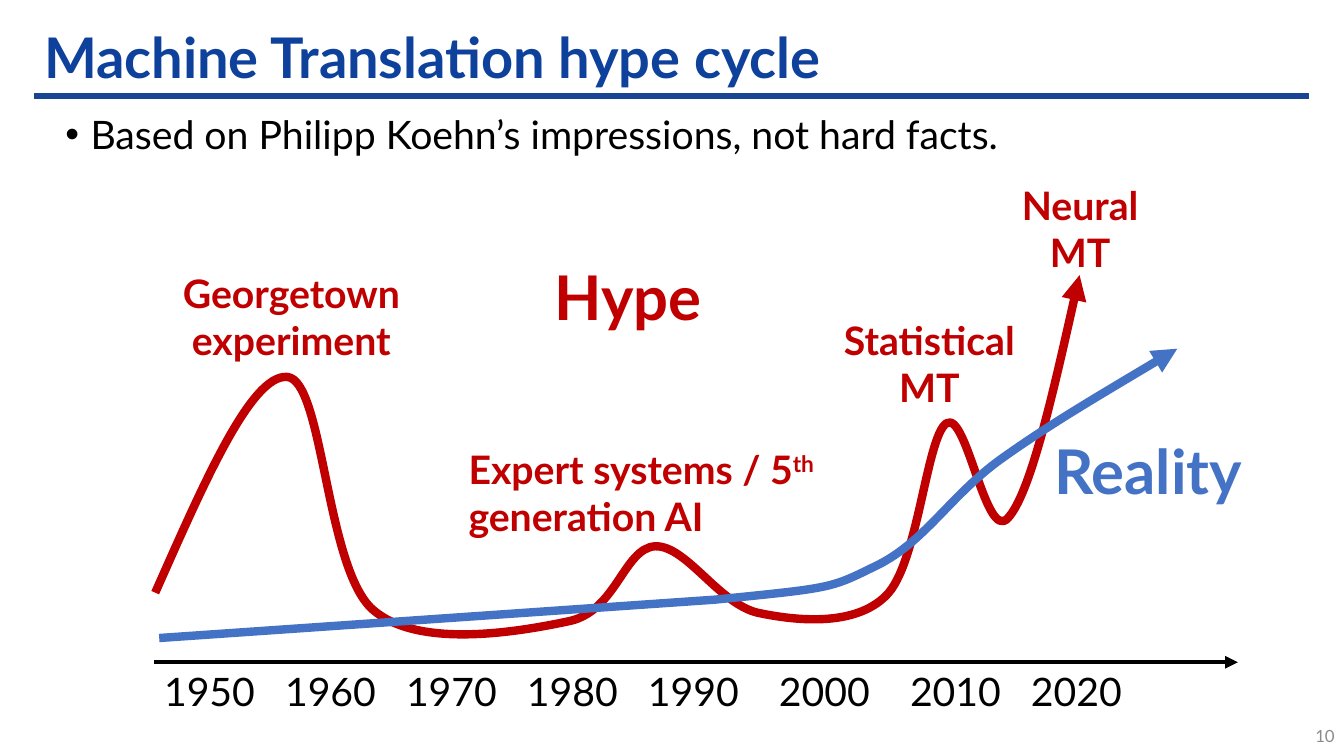
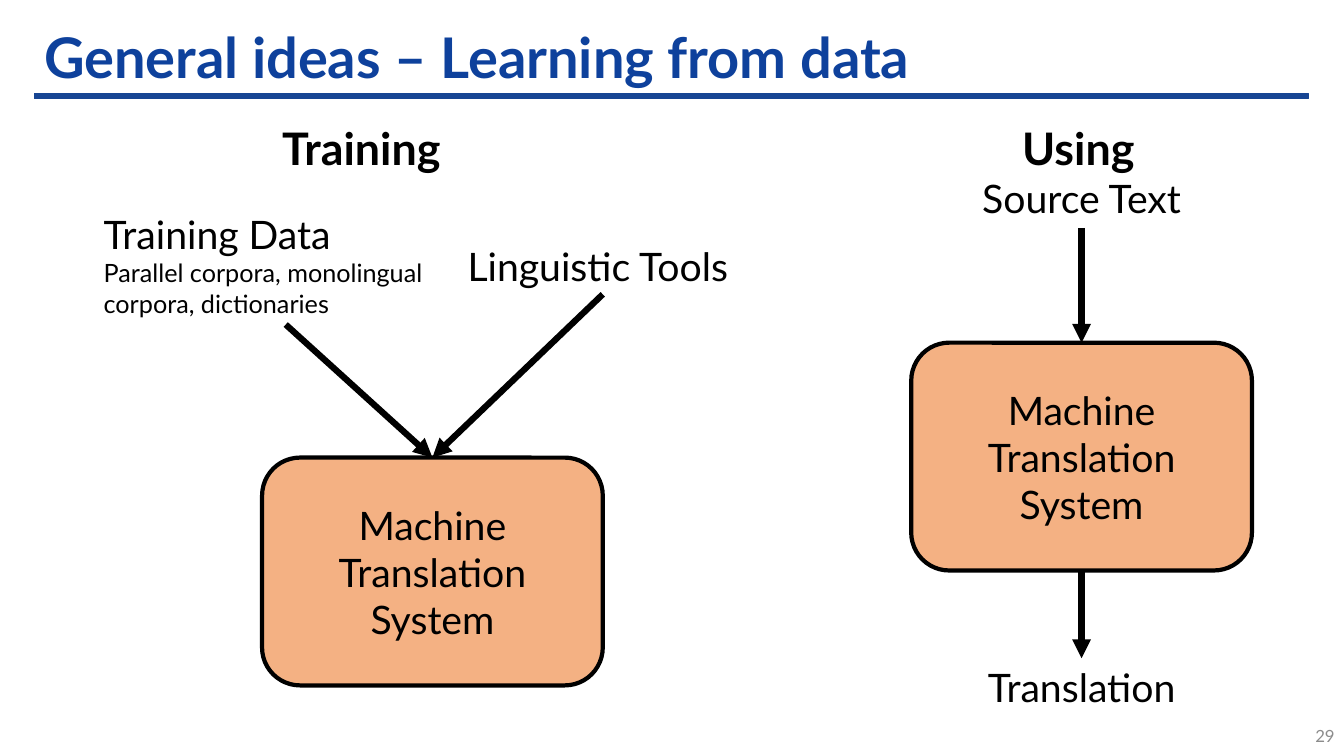
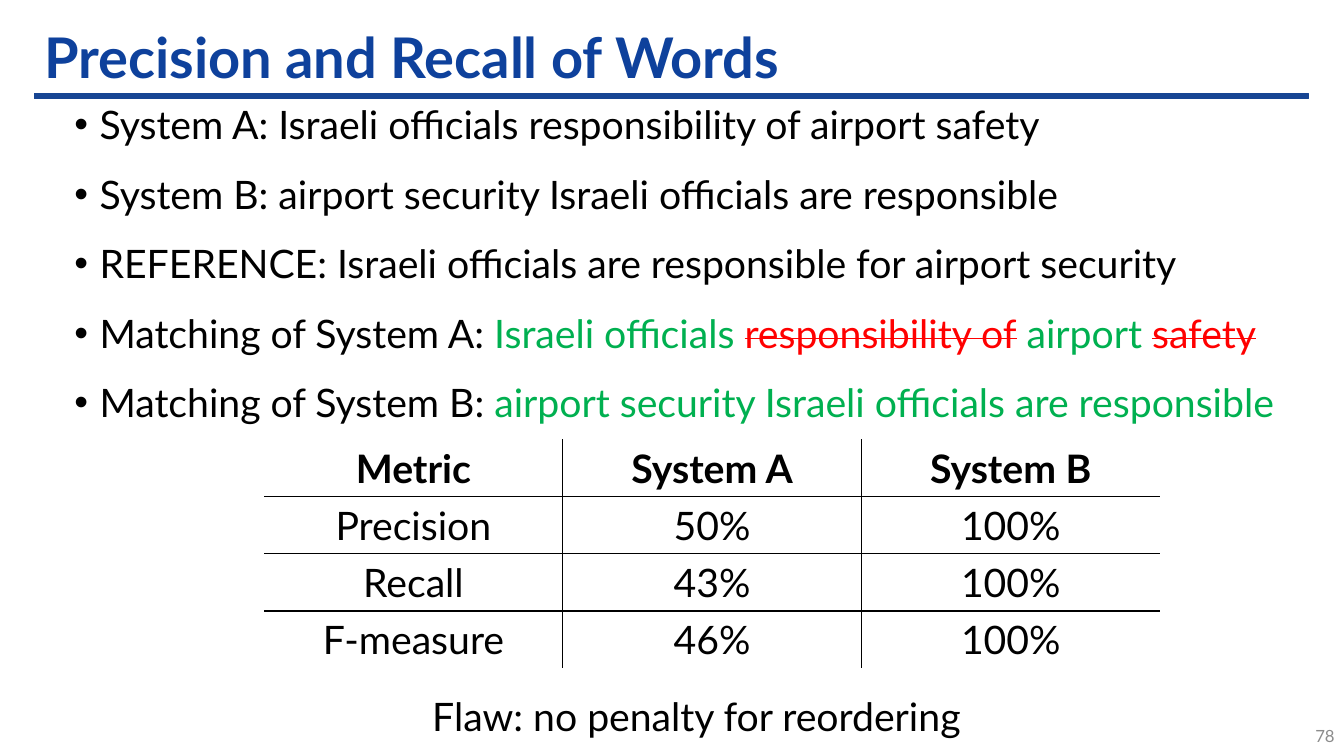
"""Build three machine translation lecture slides."""
from dataclasses import dataclass

from lxml.etree import SubElement
from pptx import Presentation
from pptx.dml.color import RGBColor
from pptx.enum.shapes import MSO_CONNECTOR as CONN, MSO_SHAPE as SHAPE
from pptx.enum.text import MSO_ANCHOR as ANCHOR, PP_ALIGN as ALIGN
from pptx.oxml.ns import qn
from pptx.util import Pt

PX = 9144


@dataclass(frozen=True)
class Theme:
    """Colours, fonts and type sizes shared by all slides."""
    font: str = "Lato"
    bullet_font: str = "Arial"
    title: str = "0E419C"
    rule: str = "174593"
    page: str = "8C8C8C"
    ink: str = "000000"
    hype: str = "C00000"
    reality: str = "4472C4"
    box: str = "F4B183"
    match: str = "00B050"
    miss: str = "FF0000"
    big: int = 44
    heading: int = 40
    subhead: int = 32
    body: int = 28
    detail: int = 18
    small: int = 12


T = Theme()


def px(*lengths):
    """Turn lengths in px into EMU."""
    return [round(n * PX) for n in lengths]


def style(size=T.body, color=T.ink, bold=False, **marks):
    """Describe a run: font values, colour and extra run marks."""
    return {"font": {"name": T.font, "size": Pt(size), "bold": bold},
            "color": color, "marks": marks}


def write(p, runs, bullet=False, tabs=(), **fmt):
    """Write styled runs into a paragraph."""
    pPr = p._p.get_or_add_pPr()
    if bullet:
        pPr.set("marL", str(25 * PX))
        pPr.set("indent", str(-25 * PX))
        SubElement(pPr, qn("a:buFont"), typeface=T.bullet_font)
        SubElement(pPr, qn("a:buChar"), char="•")
    if tabs:
        stops = SubElement(pPr, qn("a:tabLst"))
        for stop in tabs:
            SubElement(stops, qn("a:tab"), pos=str(stop * PX), algn="l")
    for key, value in fmt.items():
        setattr(p, key, value)
    for text, look in runs:
        r = p.add_run()
        r.text = text
        for key, value in look["font"].items():
            setattr(r.font, key, value)
        r.font.color.rgb = RGBColor.from_string(look["color"])
        for key, value in look["marks"].items():
            r._r.get_or_add_rPr().set(key, value)


def fill_text(sp, paragraphs, anchor=ANCHOR.TOP, gap=0, **fmt):
    """Fill a shape with paragraphs, each a list of runs."""
    tf = sp.text_frame
    tf.word_wrap = True
    tf.vertical_anchor = anchor
    for i, runs in enumerate(paragraphs):
        p = tf.add_paragraph() if i else tf.paragraphs[0]
        write(p, runs, space_before=Pt(gap if i else 0), **fmt)


def add_text(s, at, *paragraphs, **fmt):
    """Add a text box."""
    sp = s.shapes.add_textbox(*px(*at))
    fill_text(sp, paragraphs, **fmt)
    return sp


def add_box(s, kind, at, fill, line, width):
    """Add a filled, outlined preset shape."""
    sp = s.shapes.add_shape(kind, *px(*at))
    sp.shadow.inherit = False
    sp.fill.solid()
    sp.fill.fore_color.rgb = RGBColor.from_string(fill)
    set_line(sp.line, line, width)
    return sp


def set_line(line, color, width, arrow=False):
    """Set line colour and width, with an optional arrowhead."""
    line.color.rgb = RGBColor.from_string(color)
    line.width = Pt(width)
    if arrow:
        SubElement(line._get_or_add_ln(), qn("a:tailEnd"), type="triangle")


def add_arrow(s, x1, y1, x2, y2, width):
    """Add a straight arrow."""
    c = s.shapes.add_connector(CONN.STRAIGHT, *px(x1, y1, x2, y2))
    set_line(c.line, T.ink, width, arrow=True)
    SubElement(c._element.spPr, qn("a:effectLst"))
    return c


def join_down(s, upper, lower):
    """Draw an arrow from the bottom of one shape to the top of another."""
    c = add_arrow(s, 0, 0, 0, 0, 4.5)
    c.begin_connect(upper, 2)
    c.end_connect(lower, 0)


def add_curve(s, start, segments, height, color):
    """Add an open arrow of straight and cubic segments."""
    builder = s.shapes.build_freeform(*px(*start), scale=1.0)
    builder.add_line_segments([px(*point) for seg in segments for point in seg],
                              close=False)
    sp = builder.convert_to_shape()
    outline = next(sp._element.iter(qn("a:path")))
    lines = iter(outline.findall(qn("a:lnTo")))
    for seg in segments:
        steps = [next(lines) for _ in seg]
        if len(seg) == 3:
            cubic = SubElement(outline, qn("a:cubicBezTo"))
            steps[0].addprevious(cubic)
            for step in steps:
                cubic.append(step[0])
                outline.remove(step)
    sp.height, = px(height)
    outline.set("h", str(sp.height))
    sp.shadow.inherit = False
    sp.fill.background()
    set_line(sp.line, color, 6, arrow=True)


def set_borders(cell, sides):
    """Draw the named cell sides and clear the others."""
    tcPr = cell._tc.get_or_add_tcPr()
    for side in "LRTB":
        ln = SubElement(tcPr, qn(f"a:ln{side}"), w=str(Pt(1)))
        if side in sides:
            SubElement(SubElement(ln, qn("a:solidFill")), qn("a:srgbClr"), val=T.ink)
        else:
            SubElement(ln, qn("a:noFill"))


def add_grid(s, at, row, rows):
    """Add a centred table with inner rules; rows grow to fit their text."""
    n, m = len(rows), len(rows[0])
    frame = s.shapes.add_table(n, m, *px(*at))
    table = frame.table
    table.horz_banding = False
    for i, values in enumerate(rows):
        table.rows[i].height, = px(row)
        for j, value in enumerate(values):
            cell = table.cell(i, j)
            inner = {"L": j > 0, "R": j < m - 1, "T": i > 0, "B": i < n - 1}
            set_borders(cell, [side for side, shown in inner.items() if shown])
            cell.fill.background()
            write(cell.text_frame.paragraphs[0], [(value, style(bold=i == 0))],
                  alignment=ALIGN.CENTER)
    frame.height, = px(at[3])


def add_slide(prs, title, page):
    """Add a slide with title, rule and page number."""
    s = prs.slides.add_slide(prs.slide_layouts[6])
    add_box(s, SHAPE.RECTANGLE, (34, 93, 1264, 5), T.rule, T.rule, 1)
    add_text(s, (34, 26, 1264, 67), [(title, style(T.heading, T.title, True))],
             anchor=ANCHOR.MIDDLE, line_spacing=0.9)
    add_text(s, (1267, 710, 67, 40), [(page, style(T.small, T.page))],
             anchor=ANCHOR.MIDDLE, alignment=ALIGN.RIGHT)
    return s


def hype_slide(prs):
    """Draw hype against reality over the decades."""
    s = add_slide(prs, "Machine Translation hype cycle", "10")
    label = style(color=T.hype, bold=True)
    for text, at in (("Georgetown experiment", (158, 262, 262, 104)),
                     ("Statistical MT", (808, 309, 228, 104)),
                     ("Neural MT", (974, 175, 195, 104))):
        add_text(s, at, [(text, label)], alignment=ALIGN.CENTER)
    add_text(s, (455, 437, 366, 104),
             [("Expert systems / 5", label),
              ("th", style(color=T.hype, bold=True, baseline="30000")),
              (" generation AI", label)])
    add_curve(s, (154, 588), [
        [(202, 480), (249, 371), (285, 374)], [(321, 377), (323, 564), (370, 605)],
        [(416, 645), (519, 626), (566, 616)], [(612, 605), (619, 544), (650, 542)],
        [(681, 541), (713, 599), (752, 608)], [(790, 616), (848, 622), (879, 591)],
        [(911, 560), (919, 433), (939, 420)], [(959, 407), (978, 539), (1000, 514)],
        [(1022, 490), (1047, 381), (1071, 273)]], 357, T.hype)
    add_curve(s, (158, 633), [
        [(709, 595)], [(828, 583), (823, 584), (870, 561)],
        [(917, 538), (942, 493), (991, 457)],
        [(1041, 421), (1105, 384), (1168, 346)]], 287, T.reality)
    for text, at, color in (("Hype", (540, 252, 195, 84), T.hype),
                            ("Reality", (1036, 425, 241, 84), T.reality)):
        add_text(s, at, [(text, style(T.big, color, True))])
    add_text(s, (55, 105, 994, 60),
             [("Based on Philipp Koehn’s impressions, not hard facts.", style())],
             bullet=True, space_after=Pt(18))
    decades = "\t".join(str(year) for year in range(1950, 2021, 10))
    add_text(s, (153, 657, 1044, 57), [(decades, style())],
             tabs=(120, 240, 360, 480, 610, 740, 860))
    add_arrow(s, 153, 657, 1228, 657, 3)


def learning_slide(prs):
    """Draw the training and using flows."""
    s = add_slide(prs, "General ideas – Learning from data", "29")
    head, body, detail = style(T.subhead, bold=True), style(), style(T.detail)
    add_text(s, (270, 115, 223, 64), [("Training", head)])
    source = add_text(s, (929, 115, 288, 111), [("Using", head), (" ", detail)],
                      [("Source Text", body)], alignment=ALIGN.CENTER)
    data = add_text(s, (93, 204, 381, 118), [("Training Data", body)],
                    [("Parallel corpora, monolingual corpora, dictionaries", detail)])
    tools = add_text(s, (454, 235, 288, 57), [("Linguistic Tools", body)])
    systems = []
    for left, top in ((260, 454), (904, 340)):
        sp = add_box(s, SHAPE.ROUNDED_RECTANGLE, (left, top, 338, 226), T.box, T.ink, 3)
        fill_text(sp, [[("Machine Translation System", body)]],
                  anchor=ANCHOR.MIDDLE, alignment=ALIGN.CENTER)
        systems.append(sp)
    trained, used = systems
    result = add_text(s, (952, 653, 242, 57), [("Translation", body)],
                      alignment=ALIGN.CENTER)
    for upper, lower in ((data, trained), (tools, trained), (used, result), (source, used)):
        join_down(s, upper, lower)


def precision_slide(prs):
    """Show word matches and the resulting scores."""
    s = add_slide(prs, "Precision and Recall of Words", "78")
    body, match = style(), style(color=T.match)
    miss = style(color=T.miss, strike="sngStrike")
    add_text(s, (64, 95, 1233, 341),
             [("System A: Israeli officials responsibility of airport safety", body)],
             [("System B: airport security Israeli officials are responsible", body)],
             [("REFERENCE: Israeli officials are responsible for airport security", body)],
             [("Matching of System A: ", body), ("Israeli officials ", match),
              ("responsibility of", miss), (" ", body), ("airport ", match),
              ("safety", miss)],
             [("Matching of System B: ", body),
              ("airport security Israeli officials are responsible", match)],
             bullet=True, gap=10, space_after=Pt(6))
    add_text(s, (419, 682, 576, 57), [("Flaw: no penalty for reordering", body)],
             space_after=Pt(6))
    add_grid(s, (262, 436, 889, 227), 41, [("Metric", "System A", "System B"),
                                           ("Precision", "50%", "100%"),
                                           ("Recall", "43%", "100%"),
                                           ("F-measure", "46%", "100%")])


def main():
    """Build and save the slides."""
    prs = Presentation()
    prs.slide_width, prs.slide_height = px(4000 / 3, 750)
    for build in (hype_slide, learning_slide, precision_slide):
        build(prs)
    prs.save("out.pptx")


if __name__ == "__main__":
    main()
